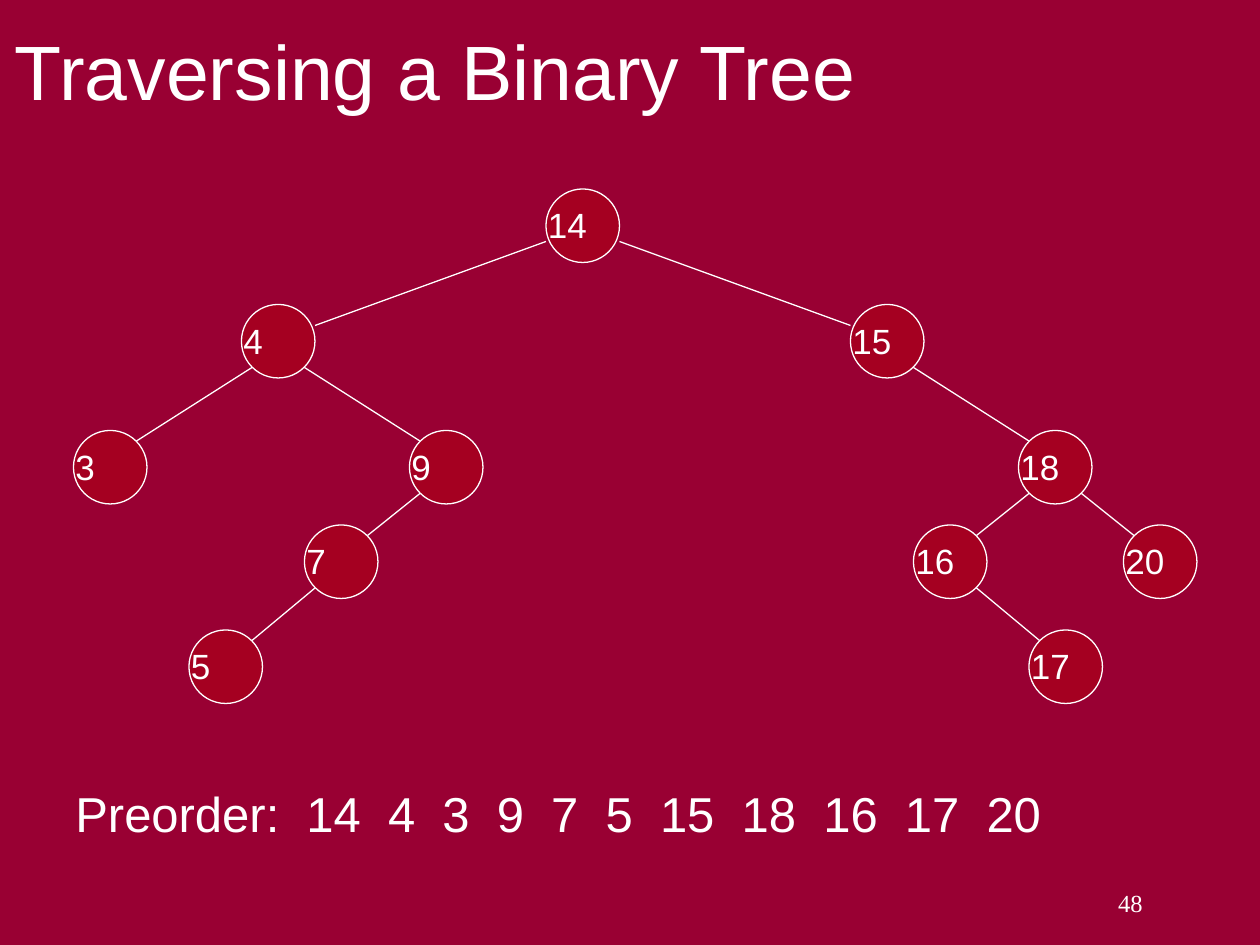
from dataclasses import dataclass

from lxml import etree
from pptx import Presentation
from pptx.dml.color import RGBColor
from pptx.enum.shapes import MSO_CONNECTOR, MSO_SHAPE
from pptx.enum.text import MSO_ANCHOR, PP_ALIGN
from pptx.oxml.ns import qn
from pptx.slide import Slide
from pptx.util import Pt

CIRCLE = MSO_SHAPE.OVAL
STRAIGHT = MSO_CONNECTOR.STRAIGHT
TOP, MIDDLE = MSO_ANCHOR.TOP, MSO_ANCHOR.MIDDLE
LEFT, RIGHT = PP_ALIGN.LEFT, PP_ALIGN.RIGHT

BACKGROUND = RGBColor(0x99, 0x00, 0x33)
NODE_RED = RGBColor(0xA5, 0x00, 0x21)
WHITE = RGBColor(0xFF, 0xFF, 0xFF)

DIAMETER = 42
LINE_WIDTH = 0.75


@dataclass(frozen=True)
class Node:
    value: int
    x: float
    y: float


@dataclass(frozen=True)
class Edge:
    parent: int
    child: int
    inset: float = 6
    parent_drop: float = 36
    child_drop: float = 6


@dataclass(frozen=True)
class Label:
    text: str
    x: float
    y: float
    width: float
    height: float
    size: float
    font: str = "Arial"
    align: PP_ALIGN = LEFT
    anchor: MSO_ANCHOR = TOP


PREORDER_NODES = [
    Node(14, 312, 108),
    Node(4, 138, 174),
    Node(3, 42, 246),
    Node(9, 234, 246),
    Node(7, 174, 300),
    Node(5, 108, 360),
    Node(15, 486, 174),
    Node(18, 582, 246),
    Node(16, 522, 300),
    Node(17, 588, 360),
    Node(20, 642, 300),
]
EDGES = [
    Edge(14, 4, inset=0, parent_drop=30, child_drop=12),
    Edge(14, 15, inset=0, parent_drop=30, child_drop=12),
    Edge(4, 3),
    Edge(4, 9),
    Edge(9, 7),
    Edge(7, 5),
    Edge(15, 18),
    Edge(18, 16),
    Edge(18, 20),
    Edge(16, 17),
]
PREORDER_TEXT = "  ".join(["Preorder:", *(str(node.value) for node in PREORDER_NODES)])
LABELS = [
    Label("48", 510, 504, 150, 36, 14, font="Times New Roman", align=RIGHT),
    Label("Traversing a Binary Tree", 1.5, 3.75, 648, 72, 44, anchor=MIDDLE),
    Label(PREORDER_TEXT, 36, 444, 648, 54, 28),
]


def draw_label(slide: Slide, label: Label) -> None:
    box = slide.shapes.add_textbox(
        Pt(label.x), Pt(label.y), Pt(label.width), Pt(label.height)
    )
    frame = box.text_frame
    frame.word_wrap = True
    frame.vertical_anchor = label.anchor
    paragraph = frame.paragraphs[0]
    paragraph.alignment = label.align
    run = paragraph.add_run()
    run.text = label.text
    font_format = {"name": label.font, "size": Pt(label.size), "bold": False}
    for attribute, value in font_format.items():
        setattr(run.font, attribute, value)
    run.font.color.rgb = WHITE


def draw_node(slide: Slide, node: Node) -> None:
    circle = slide.shapes.add_shape(
        CIRCLE, Pt(node.x), Pt(node.y), Pt(DIAMETER), Pt(DIAMETER)
    )
    circle.shadow.inherit = False
    circle.fill.solid()
    circle.fill.fore_color.rgb = NODE_RED
    circle.line.color.rgb = WHITE
    circle.line.width = Pt(LINE_WIDTH)
    draw_label(slide, Label(str(node.value), node.x - 6, node.y + 4.75, 54, 31.5, 20))


def draw_edge(slide: Slide, edge: Edge, nodes: dict[int, Node]) -> None:
    parent, child = nodes[edge.parent], nodes[edge.child]
    near, far = edge.inset, DIAMETER - edge.inset
    parent_side, child_side = (near, far) if child.x < parent.x else (far, near)
    branch = slide.shapes.add_connector(
        STRAIGHT,
        Pt(parent.x + parent_side),
        Pt(parent.y + edge.parent_drop),
        Pt(child.x + child_side),
        Pt(child.y + edge.child_drop),
    )
    branch.line.color.rgb = WHITE
    branch.line.width = Pt(LINE_WIDTH)
    etree.SubElement(branch.element.spPr, qn("a:effectLst"))


def main() -> None:
    deck = Presentation()
    deck.slide_width, deck.slide_height = Pt(720), Pt(540)
    slide = deck.slides.add_slide(deck.slide_layouts[6])
    slide.background.fill.solid()
    slide.background.fill.fore_color.rgb = BACKGROUND

    for label in LABELS:
        draw_label(slide, label)
    for node in PREORDER_NODES:
        draw_node(slide, node)
    nodes = {node.value: node for node in PREORDER_NODES}
    for edge in EDGES:
        draw_edge(slide, edge, nodes)

    deck.save("out.pptx")


if __name__ == "__main__":
    main()
